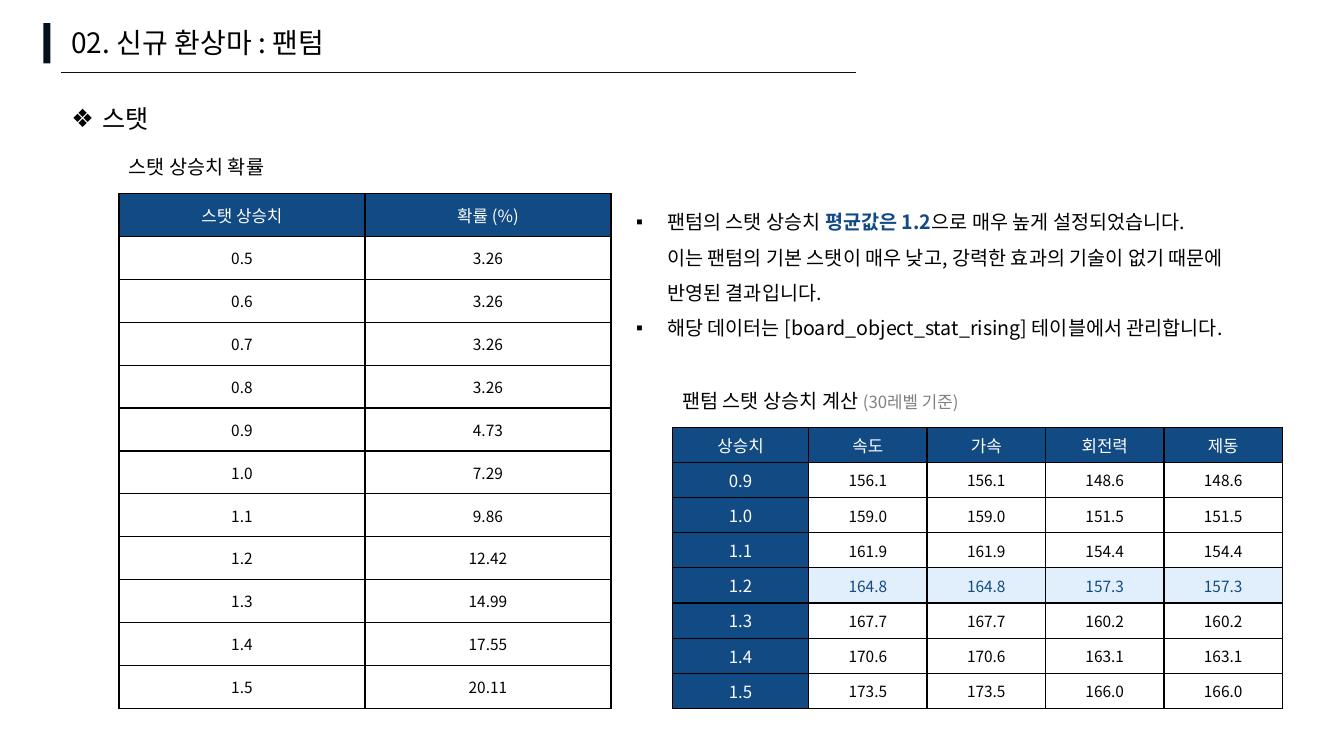
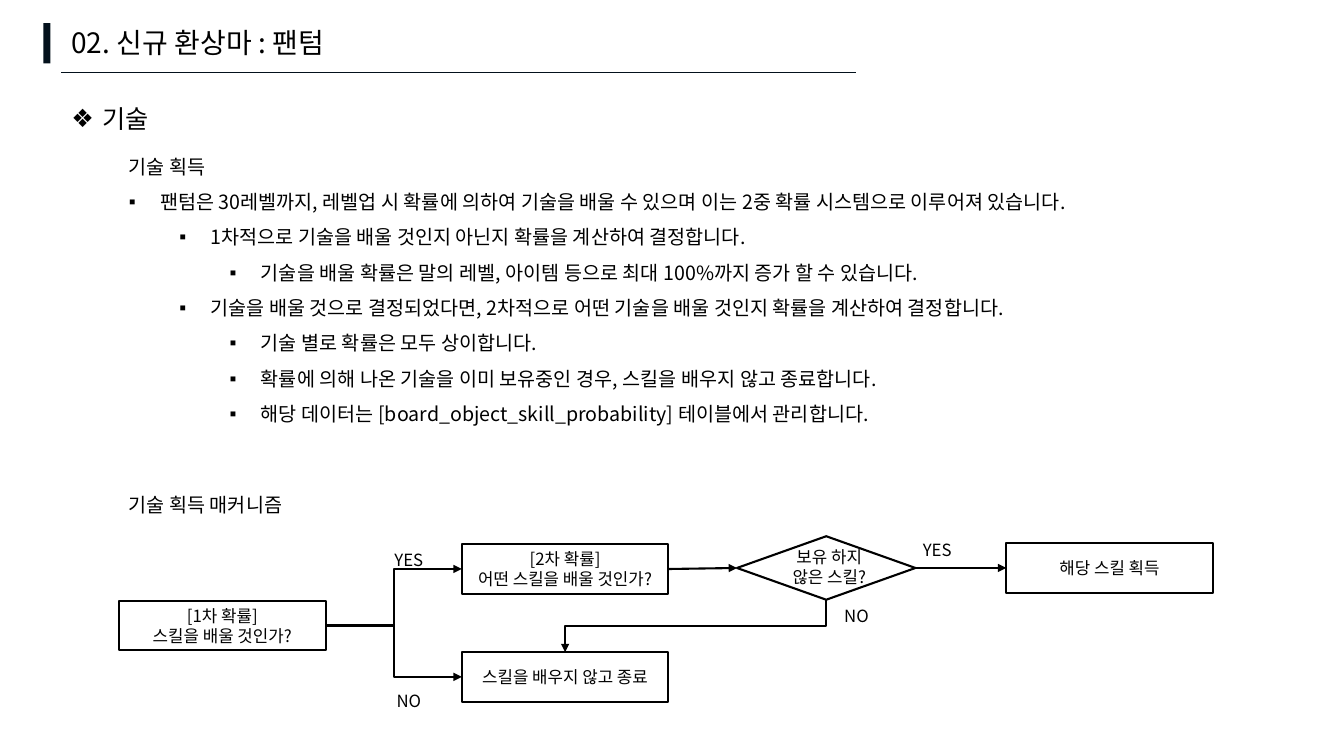
import pptx
import pptx.util
import pptx.dml.color
import pptx.enum.shapes
import pptx.enum.text
import pptx.oxml.ns
from lxml import etree

PX = 9144  # EMU; 100 px to the inch
FONT = "Noto Sans CJK KR"
BLACK, WHITE, INK, NAVY, SKY, GRAY = "000000", "FFFFFF", "03111C", "124A84", "E1EEFB", "808080"
SHAPE = pptx.enum.shapes.MSO_SHAPE
CONNECTOR = pptx.enum.shapes.MSO_CONNECTOR
CENTER = pptx.enum.text.PP_ALIGN.CENTER
MIDDLE = pptx.enum.text.MSO_ANCHOR.MIDDLE
TOP, LEFT, BOTTOM, RIGHT = range(4)
BULLET_HANG = 31
LEVEL_STEP = 50

TITLE = "02. 신규 환상마 : 팬텀"

RATES = [
    ("스탯 상승치", "확률 (%)"),
    ("0.5", "3.26"), ("0.6", "3.26"), ("0.7", "3.26"), ("0.8", "3.26"),
    ("0.9", "4.73"), ("1.0", "7.29"), ("1.1", "9.86"), ("1.2", "12.42"),
    ("1.3", "14.99"), ("1.4", "17.55"), ("1.5", "20.11"),
]
STATS = [
    ("상승치", "속도", "가속", "회전력", "제동"),
    ("0.9", "156.1", "156.1", "148.6", "148.6"),
    ("1.0", "159.0", "159.0", "151.5", "151.5"),
    ("1.1", "161.9", "161.9", "154.4", "154.4"),
    ("1.2", "164.8", "164.8", "157.3", "157.3"),
    ("1.3", "167.7", "167.7", "160.2", "160.2"),
    ("1.4", "170.6", "170.6", "163.1", "163.1"),
    ("1.5", "173.5", "173.5", "166.0", "166.0"),
]
AVERAGE = "1.2"

# A paragraph is (level, runs); level None means no bullet.
# A run is its text, or (text, changed style).
STAT_NOTES = [
    (0, ["팬텀의 스탯 상승치 ",
         ("평균값은 1.2", {"color": NAVY, "bold": True}),
         "으로 매우 높게 설정되었습니다.\n"
         "이는 팬텀의 기본 스탯이 매우 낮고, 강력한 효과의 기술이 없기 때문에\n"
         "반영된 결과입니다."]),
    (0, ["해당 데이터는 [board_object_stat_rising] 테이블에서 관리합니다."]),
]
STATS_CAPTION = [
    (None, ["팬텀 스탯 상승치 계산 ", ("(30레벨 기준)", {"size": 12, "color": GRAY})]),
]
SKILL_NOTES = [
    (None, ["기술 획득"]),
    (0, ["팬텀은 30레벨까지, 레벨업 시 확률에 의하여 기술을 배울 수 있으며 "
         "이는 2중 확률 시스템으로 이루어져 있습니다."]),
    (1, ["1차적으로 기술을 배울 것인지 아닌지 확률을 계산하여 결정합니다."]),
    (2, ["기술을 배울 확률은 말의 레벨, 아이템 등으로 최대 100%까지 증가 할 수 있습니다."]),
    (1, ["기술을 배울 것으로 결정되었다면, 2차적으로 어떤 기술을 배울 것인지 "
         "확률을 계산하여 결정합니다."]),
    (2, ["기술 별로 확률은 모두 상이합니다."]),
    (2, ["확률에 의해 나온 기술을 이미 보유중인 경우, 스킬을 배우지 않고 종료합니다."]),
    (2, ["해당 데이터는 [board_object_skill_probability] 테이블에서 관리합니다."]),
]

STEP_SIZE = (205, 49)
STEPS = {
    "first": (118, 596, "[1차 확률]\n스킬을 배울 것인가?"),
    "second": (458, 540, "[2차 확률]\n어떤 스킬을 배울 것인가?"),
    "stop": (458, 647, "스킬을 배우지 않고 종료"),
    "gain": (998, 539, "해당 스킬 획득"),
}
OWNED_BOX = (731, 532, 177, 63)
OWNED_TEXT_BOX = (763, 537, 119, 50)
OWNED_TEXT = "보유 하지\n않은 스킬?"
FLOWS = [
    ("first", RIGHT, "second", LEFT, CONNECTOR.ELBOW),
    ("first", RIGHT, "stop", LEFT, CONNECTOR.ELBOW),
    ("second", RIGHT, "owned", LEFT, CONNECTOR.STRAIGHT),
    ("owned", BOTTOM, "stop", TOP, CONNECTOR.ELBOW),
    ("owned", RIGHT, "gain", LEFT, CONNECTOR.STRAIGHT),
]
ANSWER_SIZE = (119, 37)
ANSWERS = [("YES", 346, 530), ("NO", 346, 670), ("NO", 790, 586), ("YES", 870, 521)]


def px(*lengths):
    return [pptx.util.Emu(round(length * PX)) for length in lengths]


def rgb(color):
    return pptx.dml.color.RGBColor.from_string(color)


def add_xml(parent, tag, **attributes):
    return etree.SubElement(parent, pptx.oxml.ns.qn(tag), attributes)


def style_font(font, size, color=BLACK, bold=False):
    font.size = pptx.util.Pt(size)
    font.name = FONT
    font.bold = bold
    font.color.rgb = rgb(color)


def write(paragraph, runs, **style):
    for run in runs:
        text, changes = (run, {}) if isinstance(run, str) else run
        for number, line in enumerate(text.split("\n")):
            if number:
                paragraph.add_line_break()
            piece = paragraph.add_run()
            piece.text = line
            style_font(piece.font, **{**style, **changes})
            add_xml(piece.font._element, "a:ea", typeface=FONT)


def add_bullet(paragraph, level, mark):
    paragraph.level = level
    properties = paragraph._p.get_or_add_pPr()
    margin, hang = px(BULLET_HANG + level * LEVEL_STEP, BULLET_HANG)
    properties.set("marL", str(margin))
    properties.set("indent", str(-hang))
    add_xml(properties, "a:buFont", typeface="Arial")
    add_xml(properties, "a:buChar", char=mark)


def add_text(slide, box, paragraphs, size=14, spacing=1.5, mark="▪", align=None):
    frame = slide.shapes.add_textbox(*px(*box)).text_frame
    frame.word_wrap = True
    frame.auto_size = pptx.enum.text.MSO_AUTO_SIZE.SHAPE_TO_FIT_TEXT
    for number, (level, runs) in enumerate(paragraphs):
        paragraph = frame.add_paragraph() if number else frame.paragraphs[0]
        paragraph.line_spacing = spacing
        if align is not None:
            paragraph.alignment = align
        if level is not None:
            add_bullet(paragraph, level, mark)
        write(paragraph, runs, size=size)


def add_block(slide, box, fill, outline=None, kind=SHAPE.RECTANGLE, text=None):
    block = slide.shapes.add_shape(kind, *px(*box))
    block.shadow.inherit = False
    block.fill.solid()
    block.fill.fore_color.rgb = rgb(fill)
    if outline:
        block.line.color.rgb = rgb(outline)
        block.line.width = pptx.util.Pt(1.5)
    else:
        block.line.fill.background()
    if text:
        block.text_frame.word_wrap = True
        block.text_frame.vertical_anchor = MIDDLE
        paragraph = block.text_frame.paragraphs[0]
        paragraph.alignment = CENTER
        write(paragraph, [text], size=12)
    return block


def style_line(connector, color, width):
    connector.line.color.rgb = rgb(color)
    connector.line.width = pptx.util.Pt(width)
    add_xml(connector._element.spPr, "a:effectLst")


def turn_elbow(connector):
    """Make an elbow running down and to the left start and end vertically."""
    width, height = connector.width, connector.height
    middle_x, middle_y = connector.left + width // 2, connector.top + height // 2
    connector.left, connector.top = middle_x - height // 2, middle_y - width // 2
    connector.width, connector.height = height, width
    frame = connector._element.spPr.find(pptx.oxml.ns.qn("a:xfrm"))
    frame.attrib.pop("flipH", None)
    frame.set("rot", "5400000")


def add_flow(slide, start, start_side, end, end_side, kind):
    def side_middle(block, side):
        across, down = {TOP: (1, 0), LEFT: (0, 1), BOTTOM: (1, 2), RIGHT: (2, 1)}[side]
        return block.left + block.width * across // 2, block.top + block.height * down // 2

    flow = slide.shapes.add_connector(
        kind, *side_middle(start, start_side), *side_middle(end, end_side))
    flow.begin_connect(start, start_side)
    flow.end_connect(end, end_side)
    if start_side == BOTTOM:
        turn_elbow(flow)
    style_line(flow, BLACK, 1.5)
    add_xml(flow.line._get_or_add_ln(), "a:tailEnd", type="triangle")


def add_borders(cell):
    properties = cell._tc.get_or_add_tcPr()
    for side in "LRTB":
        border = add_xml(properties, f"a:ln{side}", w=str(pptx.util.Pt(1)))
        add_xml(add_xml(border, "a:solidFill"), "a:srgbClr", val=BLACK)


def add_grid(slide, box, rows, first_width, header_column=False, marked=None):
    table = slide.shapes.add_table(len(rows), len(rows[0]), *px(*box)).table
    table.first_row = table.horz_banding = False
    other_width = (box[2] - first_width) / (len(rows[0]) - 1)
    for number, column in enumerate(table.columns):
        column.width = px(other_width if number else first_width)[0]
    for r, values in enumerate(rows):
        table.rows[r].height = px(box[3] / len(rows))[0]
        for c, value in enumerate(values):
            cell = table.cell(r, c)
            cell.vertical_anchor = MIDDLE
            add_borders(cell)
            size, color, fill = 11, BLACK, None
            if r == 0 or (header_column and c == 0):
                size, color, fill = 12, WHITE, NAVY
            elif values[0] == marked:
                color, fill = NAVY, SKY
            if header_column and r and c:
                cell.margin_left, cell.margin_right = px(2, 2)
                cell.margin_top, cell.margin_bottom = px(1, 1)
            if fill:
                cell.fill.solid()
                cell.fill.fore_color.rgb = rgb(fill)
            else:
                cell.fill.background()
            paragraph = cell.text_frame.paragraphs[0]
            paragraph.alignment = CENTER
            write(paragraph, [value], size=size, color=color)


def add_page(deck, topic):
    slide = deck.slides.add_slide(deck.slide_layouts[6])
    add_block(slide, (43, 23, 7, 40), INK)
    add_text(slide, (61, 20, 469, 44), [(None, [TITLE])], size=20, spacing=1.0)
    rule = slide.shapes.add_connector(CONNECTOR.STRAIGHT, *px(61, 72, 849, 72))
    style_line(rule, INK, 0.25)
    add_text(slide, (61, 83, 953, 50), [(0, [topic])], size=18, mark="❖")
    return slide


def build_stats(deck):
    slide = add_page(deck, "스탯")
    add_text(slide, (118, 137, 558, 41), [(None, ["스탯 상승치 확률"])])
    add_grid(slide, (118, 192, 488, 511), RATES, 244)
    add_text(slide, (621, 192, 672, 147), STAT_NOTES)
    add_grid(slide, (667, 424, 605, 279), STATS, 135, header_column=True, marked=AVERAGE)
    add_text(slide, (667, 369, 558, 41), STATS_CAPTION)


def build_skills(deck):
    slide = add_page(deck, "기술")
    add_text(slide, (118, 137, 1167, 324), SKILL_NOTES)
    add_text(slide, (118, 472, 922, 41), [(None, ["기술 획득 매커니즘"])])
    blocks = {
        step: add_block(slide, (left, top, *STEP_SIZE), WHITE, BLACK, text=text)
        for step, (left, top, text) in STEPS.items()
    }
    blocks["owned"] = add_block(slide, OWNED_BOX, WHITE, BLACK, SHAPE.DIAMOND)
    add_text(slide, OWNED_TEXT_BOX, [(None, [OWNED_TEXT])], size=12, spacing=1.0, align=CENTER)
    for start, start_side, end, end_side, kind in FLOWS:
        add_flow(slide, blocks[start], start_side, blocks[end], end_side, kind)
    for answer, left, top in ANSWERS:
        add_text(slide, (left, top, *ANSWER_SIZE), [(None, [answer])], size=12, align=CENTER)


def main():
    deck = pptx.Presentation()
    deck.slide_width, deck.slide_height = px(1333, 750)
    build_stats(deck)
    build_skills(deck)
    deck.save("out.pptx")


if __name__ == "__main__":
    main()
